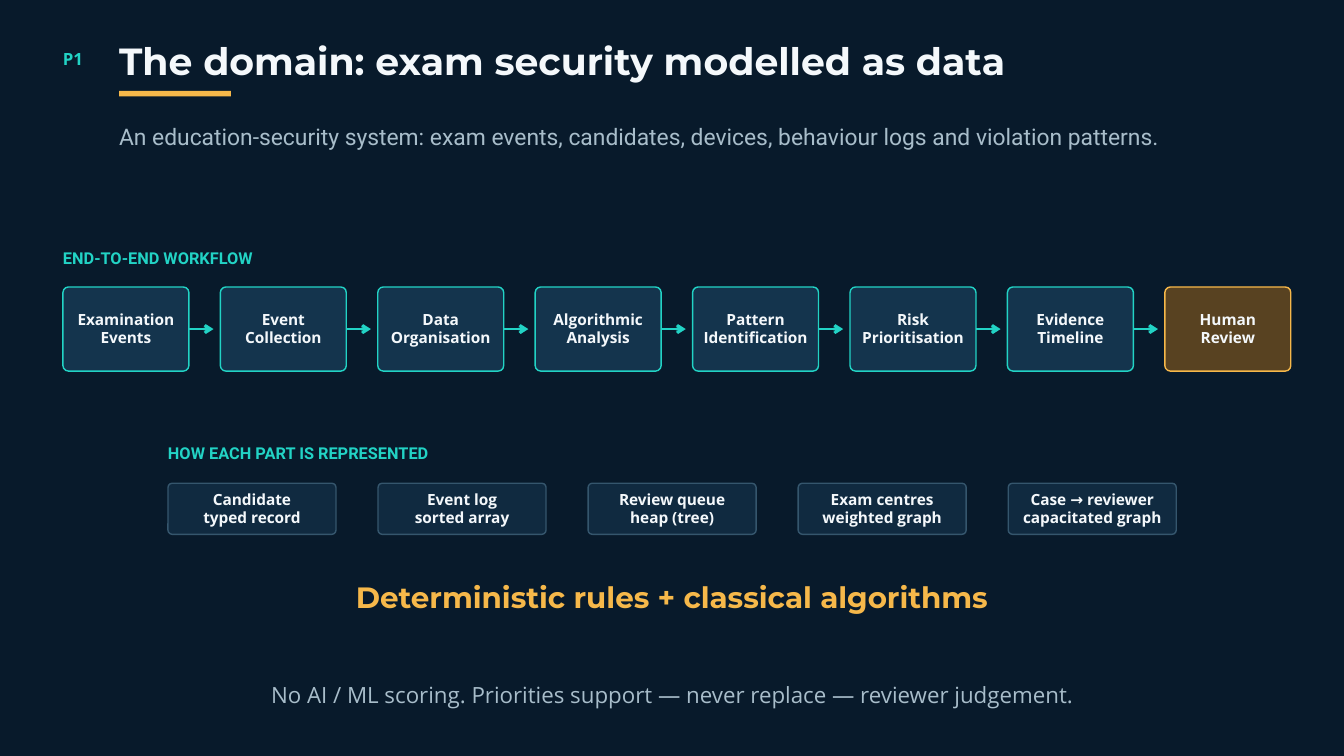
"""Build the exam security domain slide with its workflow and data structures."""
from lxml.etree import SubElement
from pptx import Presentation
from pptx.dml.color import RGBColor
from pptx.enum.shapes import MSO_CONNECTOR, MSO_SHAPE
from pptx.enum.text import MSO_ANCHOR, MSO_AUTO_SIZE, PP_ALIGN
from pptx.oxml.ns import qn
from pptx.util import Cm, Pt

COLORS = {
    "bg": "081A2B", "white": "F4F8FB", "teal": "22D3C5", "amber": "F6B84A",
    "muted": "A8BDCA", "step": "14344D", "review": "584221",
    "card": "102A40", "edge": "35566D",
}
LEFT, CENTER = PP_ALIGN.LEFT, PP_ALIGN.CENTER


def write(sp, lines, font, size, color, bold, spacing, align, inset=0, anchor=MSO_ANCHOR.TOP):
    tf = sp.text_frame
    tf.word_wrap = True
    tf.auto_size = MSO_AUTO_SIZE.NONE
    tf.vertical_anchor = anchor
    tf.margin_left = tf.margin_right = tf.margin_top = tf.margin_bottom = Cm(inset)
    for i, line in enumerate(lines):
        p = tf.add_paragraph() if i else tf.paragraphs[0]
        p.alignment = align
        p.line_spacing = Pt(spacing)
        p.space_before = Pt(0)
        r = p.add_run()
        r.text = line
        r.font.name = font
        r.font.size = Pt(size)
        r.font.bold = bold
        r.font.color.rgb = RGBColor.from_string(COLORS[color])


def add_box(s, kind, x, y, w, h, fill, line=None, radius=None, lines=()):
    sp = s.shapes.add_shape(kind, Cm(x), Cm(y), Cm(w), Cm(h))
    sp.shadow.inherit = False
    sp.fill.solid()
    sp.fill.fore_color.rgb = RGBColor.from_string(COLORS[fill])
    if line:
        sp.line.color.rgb = RGBColor.from_string(COLORS[line])
        sp.line.width = Pt(1.5)
    else:
        sp.line.fill.background()
    if radius:
        sp.adjustments[0] = radius / min(w, h)
    if lines:
        write(sp, lines, "Open Sans", 16.5, "white", True, 19, CENTER, 0.15, MSO_ANCHOR.MIDDLE)


prs = Presentation()
prs.slide_width, prs.slide_height = Cm(50.8), Cm(28.58)
s = prs.slides.add_slide(prs.slide_layouts[5])
s.background.fill.solid()
s.background.fill.fore_color.rgb = RGBColor.from_string(COLORS["bg"])

title = s.shapes.title
title.left, title.top, title.width, title.height = Cm(4.5), Cm(1.63), Cm(42.34), Cm(1.5)
write(title, ["The domain: exam security modelled as data"],
      "Montserrat", 40.5, "white", True, 42.5, LEFT)
add_box(s, MSO_SHAPE.RECTANGLE, 4.5, 3.44, 4.23, 0.21, "amber")

texts = [
    (2.38, 1.78, 1.85, 0.79, "P1", "Open Sans", 18, "teal", True, 23.4, LEFT),
    (4.5, 4.55, 42.34, 1.09,
     "An education-security system: exam events, candidates, devices, behaviour logs and violation patterns.",
     "Roboto", 24.5, "muted", False, 31.8, LEFT),
    (2.38, 9.25, 15.88, 0.89, "END-TO-END WORKFLOW", "Roboto", 17.5, "teal", True, 24.5, LEFT),
    (6.35, 16.64, 21.16, 0.89, "HOW EACH PART IS REPRESENTED",
     "Roboto", 17.5, "teal", True, 24.5, LEFT),
    (13.23, 22.07, 24.33, 1.22, "Deterministic rules + classical algorithms",
     "Montserrat", 31.5, "amber", True, 33.1, CENTER),
    (8.64, 25.65, 33.53, 1.07,
     "No AI / ML scoring. Priorities support — never replace — reviewer judgement.",
     "Open Sans", 23.9, "muted", False, 31.1, CENTER),
]
for x, y, w, h, text, *style in texts:
    write(s.shapes.add_textbox(Cm(x), Cm(y), Cm(w), Cm(h)), [text], *style)

steps = [
    ("Examination", "Events"), ("Event", "Collection"), ("Data", "Organisation"),
    ("Algorithmic", "Analysis"), ("Pattern", "Identification"),
    ("Risk", "Prioritisation"), ("Evidence", "Timeline"), ("Human", "Review"),
]
step_w, step_h, step_y = 4.76, 3.18, 10.85
for i, lines in enumerate(steps):
    x = 2.38 + i * 5.95
    last = i == len(steps) - 1
    add_box(s, MSO_SHAPE.ROUNDED_RECTANGLE, x, step_y, step_w, step_h,
            "review" if last else "step", "amber" if last else "teal", 0.21, lines)
    if not last:
        y = Cm(step_y + step_h / 2)
        arrow = s.shapes.add_connector(
            MSO_CONNECTOR.STRAIGHT, Cm(x + step_w), y, Cm(x + step_w + 0.93), y)
        arrow.line.color.rgb = RGBColor.from_string(COLORS["teal"])
        arrow.line.width = Pt(3)
        SubElement(arrow.line._get_or_add_ln(), qn("a:tailEnd"), type="arrow")
        SubElement(arrow._element.spPr, qn("a:effectLst"))

structures = [
    ("Candidate", "typed record"), ("Event log", "sorted array"),
    ("Review queue", "heap (tree)"), ("Exam centres", "weighted graph"),
    ("Case → reviewer", "capacitated graph"),
]
for i, lines in enumerate(structures):
    add_box(s, MSO_SHAPE.ROUNDED_RECTANGLE, 6.35 + i * 7.94, 18.27, 6.35, 1.93,
            "card", "edge", 0.16, lines)

prs.save("out.pptx")
